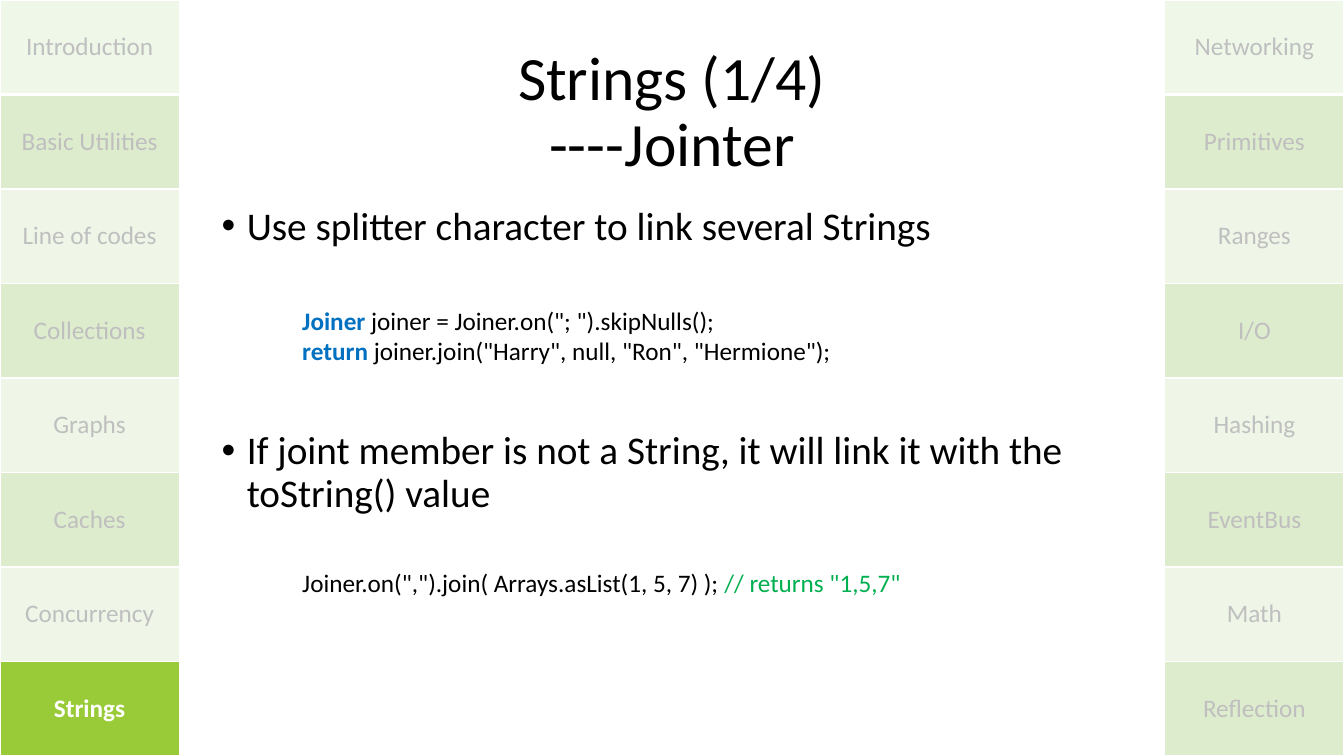
from lxml import etree
from pptx import Presentation
from pptx.dml.color import RGBColor
from pptx.enum.text import MSO_ANCHOR, MSO_AUTO_SIZE, PP_ALIGN
from pptx.oxml.ns import qn
from pptx.util import Pt

CENTER, LEFT = PP_ALIGN.CENTER, PP_ALIGN.LEFT
MIDDLE, TOP = MSO_ANCHOR.MIDDLE, MSO_ANCHOR.TOP
FIT, FIXED = MSO_AUTO_SIZE.SHAPE_TO_FIT_TEXT, MSO_AUTO_SIZE.NONE

COLORS = {
    "text": "000000", "white": "FFFFFF", "faded": "BFBFBF",
    "head": "EFF7E9", "light": "EFF6E8", "mid": "DEECCE", "active": "99CB38",
    "key": "0070C0", "note": "00B050",
}
WIDTH, HEIGHT = 960, 540
SIDE = 128
CURRENT = "Strings"
LEFT_MENU = ["Introduction", "Basic Utilities", "Line of codes", "Collections",
             "Graphs", "Caches", "Concurrency", "Strings"]
RIGHT_MENU = ["Networking", "Primitives", "Ranges", "I/O",
              "Hashing", "EventBus", "Math", "Reflection"]
BULLETS = ["Use splitter character to link several Strings",
           "If joint member is not a String, it will link it with the toString() value"]
JOIN_CODE = [
    [("Joiner ", "key", True), ('joiner = Joiner.on("; ").skipNulls();', "text", False)],
    [("return ", "key", True), ('joiner.join("Harry", null, "Ron", "Hermione");', "text", False)],
]
LIST_CODE = [
    [('Joiner.on(",").join( Arrays.asList(1, 5, 7) ); ', "text", False),
     ('// returns "1,5,7"', "note", False)],
]


def apply(item, form):
    for key, value in form.items():
        setattr(item, key, value)


class Deck:
    def __init__(self):
        self.file = Presentation()
        apply(self.file, {"slide_width": Pt(WIDTH), "slide_height": Pt(HEIGHT)})
        self.slide = self.file.slides.add_slide(self.file.slide_layouts[6])
        self.font = "Calibri"

    def color(self, name):
        return RGBColor.from_string(COLORS[name])

    def run(self, para, text, size, color="text", bold=False):
        run = para.add_run()
        run.text = text
        apply(run.font, {"name": self.font, "size": Pt(size), "bold": bold})
        run.font.color.rgb = self.color(color)

    def box(self, x, y, w, h, anchor=TOP, wrap=True, fit=FIXED):
        frame = self.slide.shapes.add_textbox(Pt(x), Pt(y), Pt(w), Pt(h)).text_frame
        apply(frame, {"word_wrap": wrap, "auto_size": fit, "vertical_anchor": anchor})
        return frame

    def title(self, lines, x, y, w, h):
        para = self.box(x, y, w, h, MIDDLE).paragraphs[0]
        apply(para, {"alignment": CENTER, "line_spacing": 0.9})
        for i, line in enumerate(lines):
            if i:
                para.add_line_break()
            self.run(para, line, 44)

    def bullets(self, items, gap, x, y, w, h):
        frame = self.box(x, y, w, h)
        for i, item in enumerate(items):
            para = frame.add_paragraph() if i else frame.paragraphs[0]
            props = para._p.get_or_add_pPr()
            props.set("marL", str(Pt(18)))
            props.set("indent", str(-Pt(18)))
            etree.SubElement(props, qn("a:buFont")).set("typeface", "Arial")
            etree.SubElement(props, qn("a:buChar")).set("char", "•")
            apply(para, {"alignment": LEFT, "line_spacing": 0.9,
                         "space_before": Pt(gap if i else 0)})
            self.run(para, item, 28)

    def code(self, lines, x, y, w, h):
        frame = self.box(x, y, w, h, wrap=False, fit=FIT)
        for i, line in enumerate(lines):
            para = frame.add_paragraph() if i else frame.paragraphs[0]
            for text, color, bold in line:
                self.run(para, text, 18, color, bold)

    def edges(self, cell, widths):
        """Draw white borders, given as left, right, top and bottom widths."""
        props = cell._tc.get_or_add_tcPr()
        for i, (side, width) in enumerate(zip("LRTB", widths)):
            line = etree.Element(qn(f"a:ln{side}"), w=str(Pt(width)))
            fill = etree.SubElement(line, qn("a:solidFill"))
            etree.SubElement(fill, qn("a:srgbClr")).set("val", COLORS["white"])
            props.insert(i, line)

    def menu(self, names, x):
        grid = self.slide.shapes.add_table(
            len(names), 1, Pt(x), Pt(0), Pt(SIDE), Pt(HEIGHT)).table
        apply(grid, {"first_row": False, "horz_banding": False})
        for i, name in enumerate(names):
            grid.rows[i].height = Pt(HEIGHT / len(names))
            cell = grid.cell(i, 0)
            cell.vertical_anchor = MIDDLE
            active = name == CURRENT
            shade = "active" if active else "mid" if i % 2 else "light" if i else "head"
            cell.fill.solid()
            cell.fill.fore_color.rgb = self.color(shade)
            self.edges(cell, (1, 1, 3 if i == 1 else 1, 3 if i == 0 else 1))
            para = cell.text_frame.paragraphs[0]
            para.alignment = CENTER
            self.run(para, name, 18, "white" if active else "faded", active)


def main():
    deck = Deck()
    deck.menu(LEFT_MENU, 0)
    deck.menu(RIGHT_MENU, WIDTH - SIDE)
    deck.title(["Strings (1/4)", "----Jointer"], SIDE, 28.75, WIDTH - 2 * SIDE, 104.4)
    deck.bullets(BULLETS, 130, 151.2, 144, 659.5, 342.7)
    deck.code(JOIN_CODE, 208.8, 214.5, 396, 51)
    deck.code(LIST_CODE, 208.8, 401.8, 447, 29)
    deck.file.save("out.pptx")


if __name__ == "__main__":
    main()
